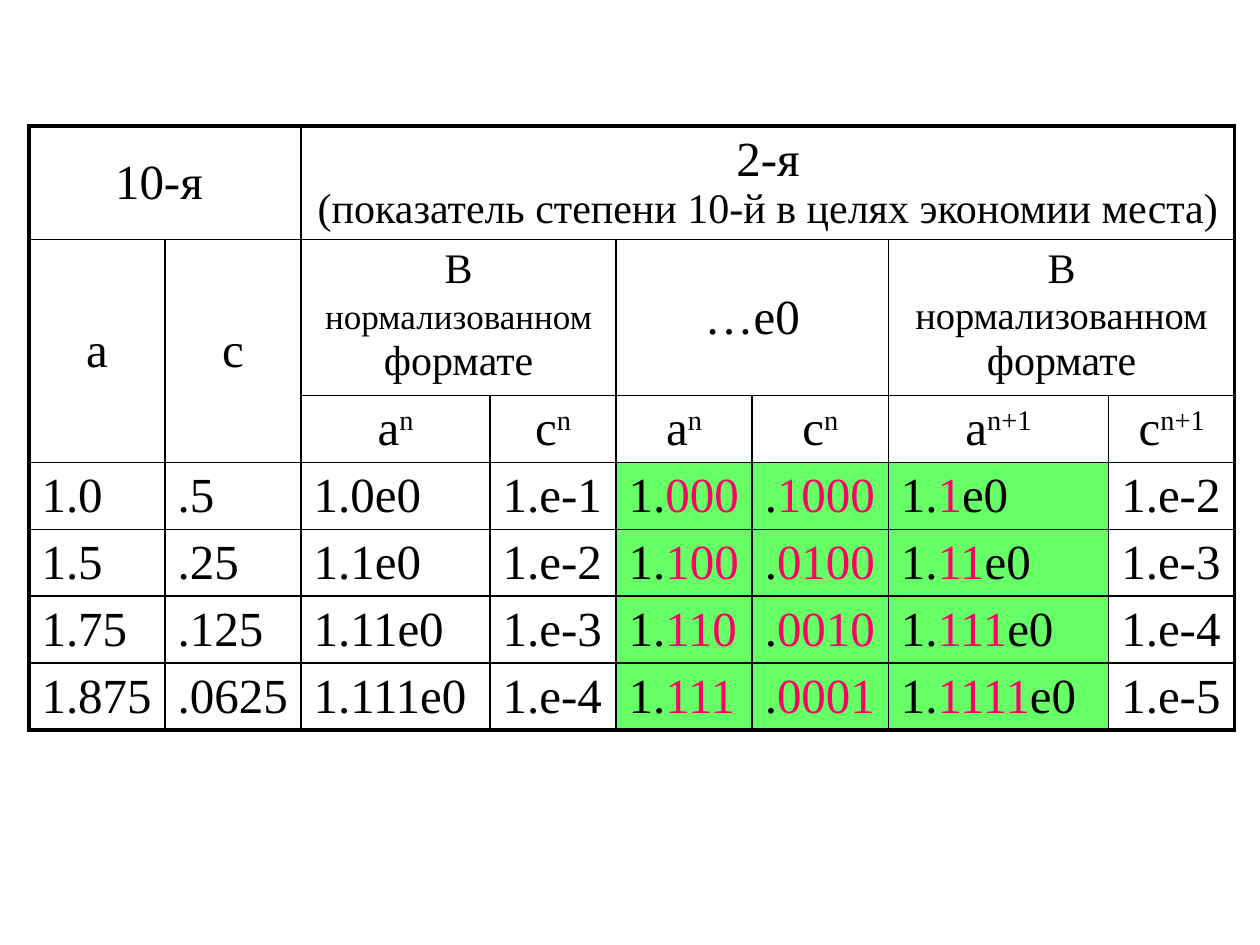
import pptx
import pptx.dml.color
import pptx.enum.text
import pptx.oxml.ns
import pptx.util
from lxml import etree

Inches = pptx.util.Inches
PLAIN_STYLE = "{2D5ABB26-0587-4C30-8999-92F81FD0307C}"
BLACK, PINK, GREEN = "000000", "FF0066", "66FF66"

COLUMN_WIDTHS = [1.08, 1.08, 1.5, 1, 1.08, 1.08, 1.75, 1]
ROW_HEIGHTS = [0.9, 1.24] + [0.53] * 5

# (row, column, rows spanned, columns spanned, spans of (text, size))
HEADINGS = [
    (0, 0, 1, 2, [("10-я ", 28)]),
    (0, 2, 1, 6, [("2-я\n", 28),
                  ("(показатель степени 10-й в целях экономии места)", 24)]),
    (1, 0, 2, 1, [("a", 28)]),
    (1, 1, 2, 1, [("c", 28)]),
    (1, 2, 1, 2, [("В ", 24), ("нормализованном", 20), (" формате", 24)]),
    (1, 4, 1, 2, [("…e0", 28)]),
    (1, 6, 1, 2, [("В ", 24), ("нормализованном", 22), (" формате", 24)]),
]
TOP_ALIGNED = {(0, 2), (1, 2), (1, 6)}
POWERS = ["n", "n", "n", "n", "n+1", "n+1"]

# Bars enclose the digits shown in pink
NUMBERS = [
    ["1.0", ".5", "1.0e0", "1.e-1", "1.|000|", ".|1000|", "1.|1|e0", "1.e-2"],
    ["1.5", ".25", "1.1e0", "1.e-2", "1.|100|", ".|0100|", "1.|11|e0", "1.e-3"],
    ["1.75", ".125", "1.11e0", "1.e-3", "1.|110|", ".|0010|", "1.|111|e0", "1.e-4"],
    ["1.875", ".0625", "1.111e0", "1.e-4", "1.|111|", ".|0001|", "1.|1111|e0", "1.e-5"],
]


def color(value):
    return pptx.dml.color.RGBColor.from_string(value)


def add_text(para, text, size=28, fill=BLACK, raised=False):
    """Append a formatted span; a closing newline becomes a line break."""
    span = para.add_run()
    span.text = text.rstrip("\n")
    span.font.name = "Times New Roman"
    span.font.size = pptx.util.Pt(size)
    span.font.color.rgb = color(fill)
    if raised:
        span.font._element.set("baseline", "30000")
    if text.endswith("\n"):
        para.add_line_break()


class SlideBuilder:
    inner_line = 1
    outer_line = 2.25

    def __init__(self, deck):
        self.slide = deck.slides.add_slide(deck.slide_layouts[6])

    def table(self, left, top, widths, heights):
        frame = self.slide.shapes.add_table(
            len(heights), len(widths), Inches(left), Inches(top),
            Inches(sum(widths)), Inches(sum(heights)))
        table = frame.table
        table.first_row = table.horz_banding = False
        for style in frame._element.iter(pptx.oxml.ns.qn("a:tableStyleId")):
            style.text = PLAIN_STYLE
        for column, width in zip(table.columns, widths):
            column.width = Inches(width)
        for row, height in zip(table.rows, heights):
            row.height = Inches(height)
        return table

    def cell(self, table, row, column, centered=False, middle=False):
        """Prepare a cell and return its paragraph."""
        cell = table.cell(row, column)
        cell.fill.background()
        if middle:
            cell.vertical_anchor = pptx.enum.text.MSO_ANCHOR.MIDDLE
        para = cell.text_frame.paragraphs[0]
        if centered:
            para.alignment = pptx.enum.text.PP_ALIGN.CENTER
        return para

    def borders(self, table):
        """Rule the grid, heavier around the outside."""
        row_count, column_count = len(table.rows), len(table.columns)
        for row in range(row_count):
            for column in range(column_count):
                cell = table.cell(row, column)
                outer = {
                    "L": column == 0,
                    "R": column + cell.span_width == column_count,
                    "T": row == 0,
                    "B": row + cell.span_height == row_count,
                }
                properties = cell._tc.get_or_add_tcPr()
                sides = [side for side in outer
                         if outer[side] or not cell.is_spanned]
                for position, side in enumerate(sides):
                    width = self.outer_line if outer[side] else self.inner_line
                    line = etree.Element(pptx.oxml.ns.qn(f"a:ln{side}"),
                                         w=str(pptx.util.Pt(width)))
                    fill = etree.SubElement(line, pptx.oxml.ns.qn("a:solidFill"))
                    etree.SubElement(fill, pptx.oxml.ns.qn("a:srgbClr"), val=BLACK)
                    properties.insert(position, line)


def main():
    deck = pptx.Presentation()
    deck.slide_width, deck.slide_height = Inches(10), Inches(7.5)
    builder = SlideBuilder(deck)
    table = builder.table(0.23, 1, COLUMN_WIDTHS, ROW_HEIGHTS)

    for row, column, row_span, column_span, spans in HEADINGS:
        last = table.cell(row + row_span - 1, column + column_span - 1)
        table.cell(row, column).merge(last)
        para = builder.cell(table, row, column, centered=True,
                            middle=(row, column) not in TOP_ALIGNED)
        for text, size in spans:
            add_text(para, text, size=size)

    for column, power in enumerate(POWERS, start=2):
        para = builder.cell(table, 2, column, centered=True)
        add_text(para, "ac"[column % 2])
        add_text(para, power, raised=True)

    for row, values in enumerate(NUMBERS, start=3):
        for column, value in enumerate(values):
            para = builder.cell(table, row, column)
            for index, part in enumerate(value.split("|")):
                if part:
                    add_text(para, part, fill=PINK if index % 2 else BLACK)
            if "|" in value:
                cell = table.cell(row, column)
                cell.fill.solid()
                cell.fill.fore_color.rgb = color(GREEN)

    builder.borders(table)
    deck.save("out.pptx")


if __name__ == "__main__":
    main()
